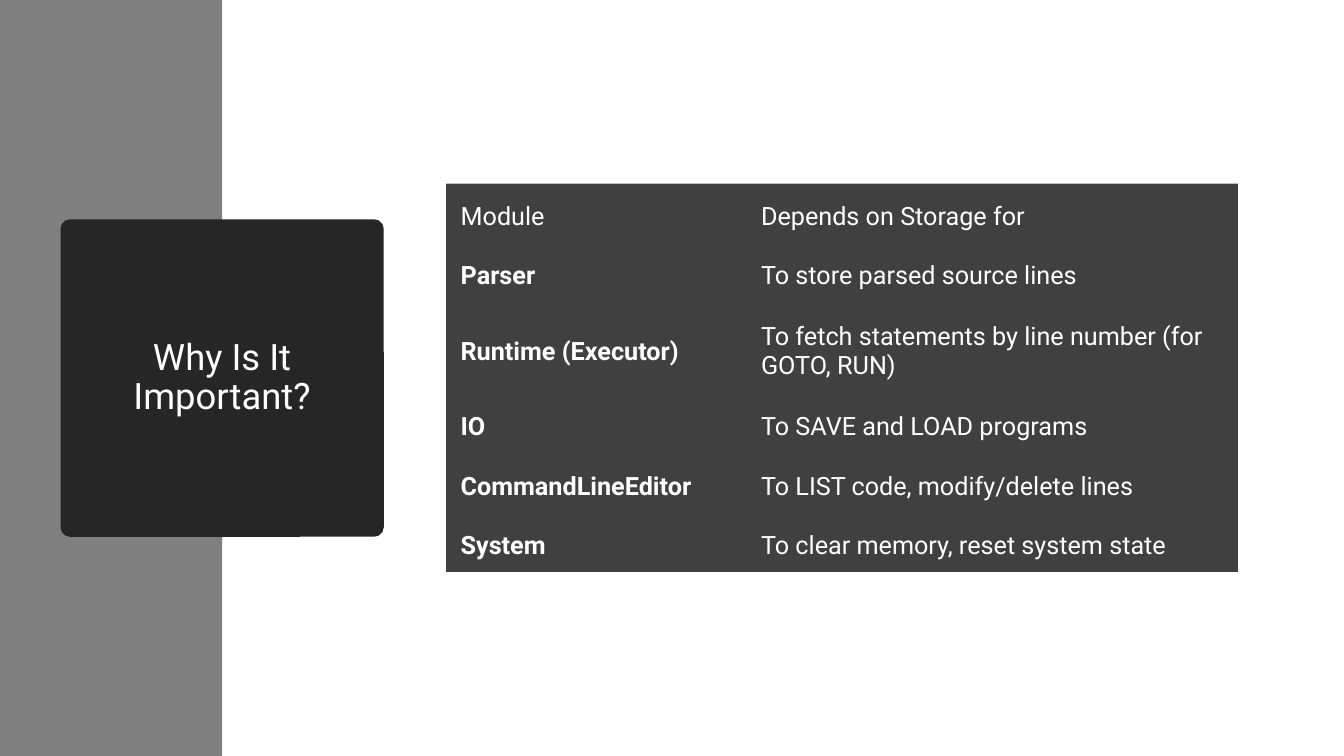
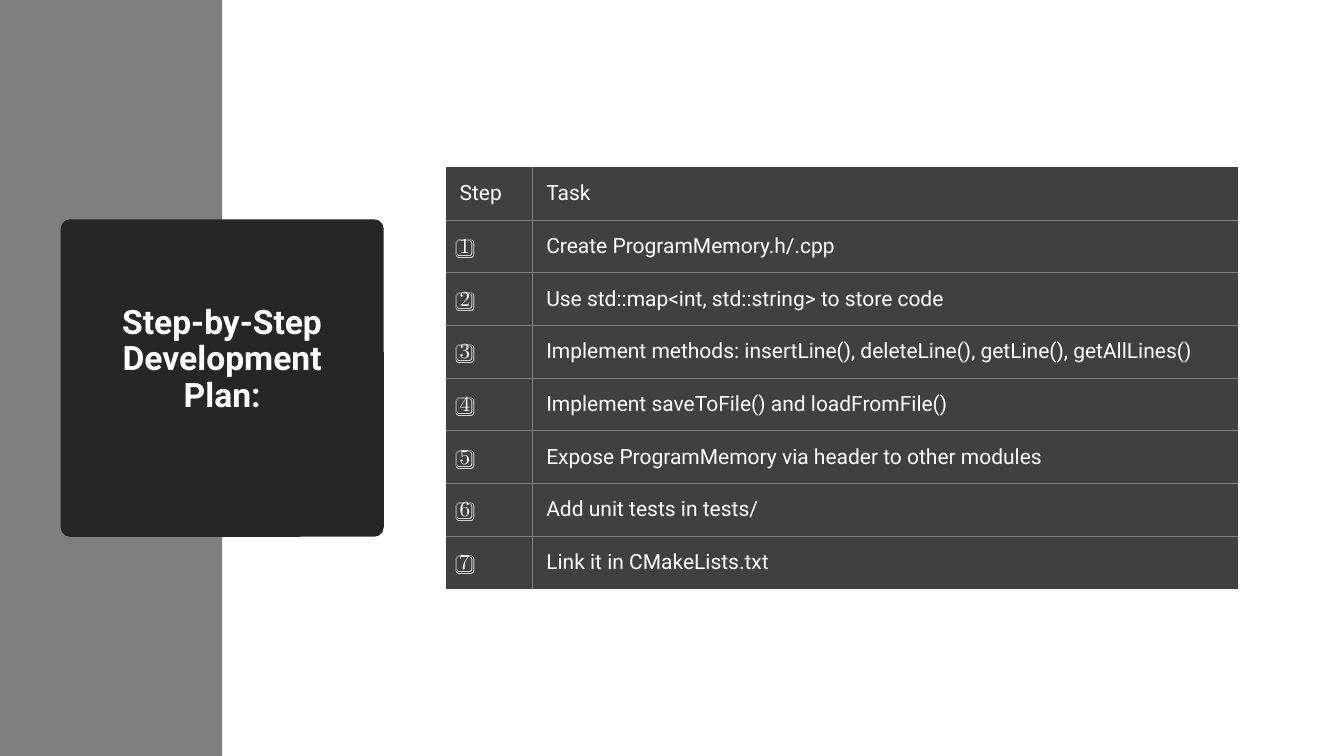
from lxml import etree
from pptx import Presentation
from pptx.dml.color import RGBColor
from pptx.enum.shapes import MSO_SHAPE
from pptx.enum.text import MSO_ANCHOR, PP_ALIGN
from pptx.oxml.ns import qn
from pptx.util import Inches, Pt

RECTANGLE = MSO_SHAPE.RECTANGLE
ROUNDED = MSO_SHAPE.ROUNDED_RECTANGLE
MIDDLE = MSO_ANCHOR.MIDDLE
CENTER = PP_ALIGN.CENTER

SIDEBAR_GREY = RGBColor(0x7F, 0x7F, 0x7F)
CARD_BLACK = RGBColor(0x26, 0x26, 0x26)
CELL_GREY = RGBColor(0x40, 0x40, 0x40)
TOP_RULE_GREY = RGBColor(0xBF, 0xBF, 0xBF)
GRID_GREY = RGBColor(0x80, 0x80, 0x80)
WHITE = RGBColor(0xFF, 0xFF, 0xFF)

FONT = "Roboto"
PLAIN_TABLE_STYLE = "{2D5ABB26-0587-4C30-8999-92F81FD0307C}"

# Shares of the slide's size, in percent
SIDEBAR_WIDTH = 16.53
CARD_WIDTH, CARD_HEIGHT = 24.05, 42
TABLE_LEFT = 33.15

DEPENDENCIES = [
    ("Module", "Depends on Storage for"),
    ("Parser", "To store parsed source lines"),
    ("Runtime (Executor)", "To fetch statements by line number (for GOTO, RUN)"),
    ("IO", "To SAVE and LOAD programs"),
    ("CommandLineEditor", "To LIST code, modify/delete lines"),
    ("System", "To clear memory, reset system state"),
]
TASKS = [
    "Create ProgramMemory.h/.cpp",
    "Use std::map<int, std::string> to store code",
    "Implement methods: insertLine(), deleteLine(), getLine(), getAllLines()",
    "Implement saveToFile() and loadFromFile()",
    "Expose ProgramMemory via header to other modules",
    "Add unit tests in tests/",
    "Link it in CMakeLists.txt",
]
STEPS = [("Step", "Task")] + [(f"{n}️⃣", task) for n, task in enumerate(TASKS, 1)]


def set_border(cell, side, color, width):
    """Draw one cell edge; side is L, R, T or B, called in that order before the fill."""
    line = etree.SubElement(cell._tc.get_or_add_tcPr(), qn(f"a:ln{side}"), w=str(Pt(width)))
    fill = etree.SubElement(line, qn("a:solidFill"))
    etree.SubElement(fill, qn("a:srgbClr"), val=str(color))


class Deck:
    def __init__(self):
        self.prs = Presentation()
        self.prs.slide_width, self.prs.slide_height = Inches(13.33), Inches(7.5)
        self.slide = None

    def x(self, percent):
        return round(self.prs.slide_width * percent / 100)

    def y(self, percent):
        return round(self.prs.slide_height * percent / 100)

    def style(self, paragraph, size, bold=False):
        font = paragraph.font
        font.name, font.size, font.bold = FONT, Pt(size), bold
        font.color.rgb = WHITE

    def block(self, shape_type, left, top, width, height, color):
        shape = self.slide.shapes.add_shape(
            shape_type, self.x(left), self.y(top), self.x(width), self.y(height))
        shape.shadow.inherit = False
        shape.fill.solid()
        shape.fill.fore_color.rgb = color
        shape.line.fill.background()
        return shape

    def new_slide(self, title, size, bold=False, lift=0):
        """Start a slide with its sidebar and title card; lift raises the title."""
        self.slide = self.prs.slides.add_slide(self.prs.slide_layouts[6])
        self.block(RECTANGLE, 0, 0, SIDEBAR_WIDTH, 100, SIDEBAR_GREY)
        card = self.block(ROUNDED, SIDEBAR_WIDTH - CARD_WIDTH / 2, (100 - CARD_HEIGHT) / 2,
                          CARD_WIDTH, CARD_HEIGHT, CARD_BLACK)
        card.adjustments[0] = 0.03
        frame = card.text_frame
        frame.word_wrap = True
        frame.vertical_anchor = MIDDLE
        frame.margin_left = frame.margin_right = self.x(4)
        frame.margin_bottom = frame.margin_top + self.y(2 * lift)
        paragraph = frame.paragraphs[0]
        paragraph.text = title
        paragraph.alignment = CENTER
        paragraph.line_spacing = 0.9
        self.style(paragraph, size, bold)

    def table(self, rows, widths, heights, size, margins, borders, bold_labels=False):
        """Add a vertically centred table; borders(row, column) yields (side, color, width)."""
        total = sum(heights)
        table = self.slide.shapes.add_table(
            len(rows), len(widths), self.x(TABLE_LEFT), self.y((100 - total) / 2),
            self.x(sum(widths)), self.y(total)).table
        table.first_row = table.horz_banding = False
        table._tbl.tblPr.find(qn("a:tableStyleId")).text = PLAIN_TABLE_STYLE
        for column, width in zip(table.columns, widths):
            column.width = self.x(width)
        for r, (texts, height) in enumerate(zip(rows, heights)):
            table.rows[r].height = self.y(height)
            for c, text in enumerate(texts):
                cell = table.cell(r, c)
                for border in borders(r, c):
                    set_border(cell, *border)
                cell.fill.solid()
                cell.fill.fore_color.rgb = CELL_GREY
                cell.vertical_anchor = MIDDLE
                (cell.margin_left, cell.margin_top,
                 cell.margin_right, cell.margin_bottom) = map(Inches, margins)
                paragraph = cell.text_frame.paragraphs[0]
                paragraph.text = text
                self.style(paragraph, size, bold_labels and r > 0 and c == 0)


def top_rule(row, column):
    return [("T", TOP_RULE_GREY, 1)] if row == 0 else []


def inner_grid(row, column):
    last_row = len(STEPS) - 1
    shown = {"L": column > 0, "R": column == 0, "T": row > 0, "B": row < last_row}
    return [(side, GRID_GREY, 0.5) for side, visible in shown.items() if visible]


def main():
    deck = Deck()

    deck.new_slide("Why Is It Important?", 26)
    deck.table(DEPENDENCIES, [22.35, 36.6], [7.9, 7.9, 12, 7.9, 7.9, 7.9], 18,
               (0.15, 0.15, 0.15, 0.08), top_rule, bold_labels=True)

    deck.new_slide("Step-by-Step Development Plan:", 24, bold=True, lift=2.4)
    deck.table(STEPS, [6.45, 52.5], [6.97] * len(STEPS), 15,
               (0.14, 0.11, 0.13, 0.11), inner_grid)

    deck.prs.save("out.pptx")


if __name__ == "__main__":
    main()
